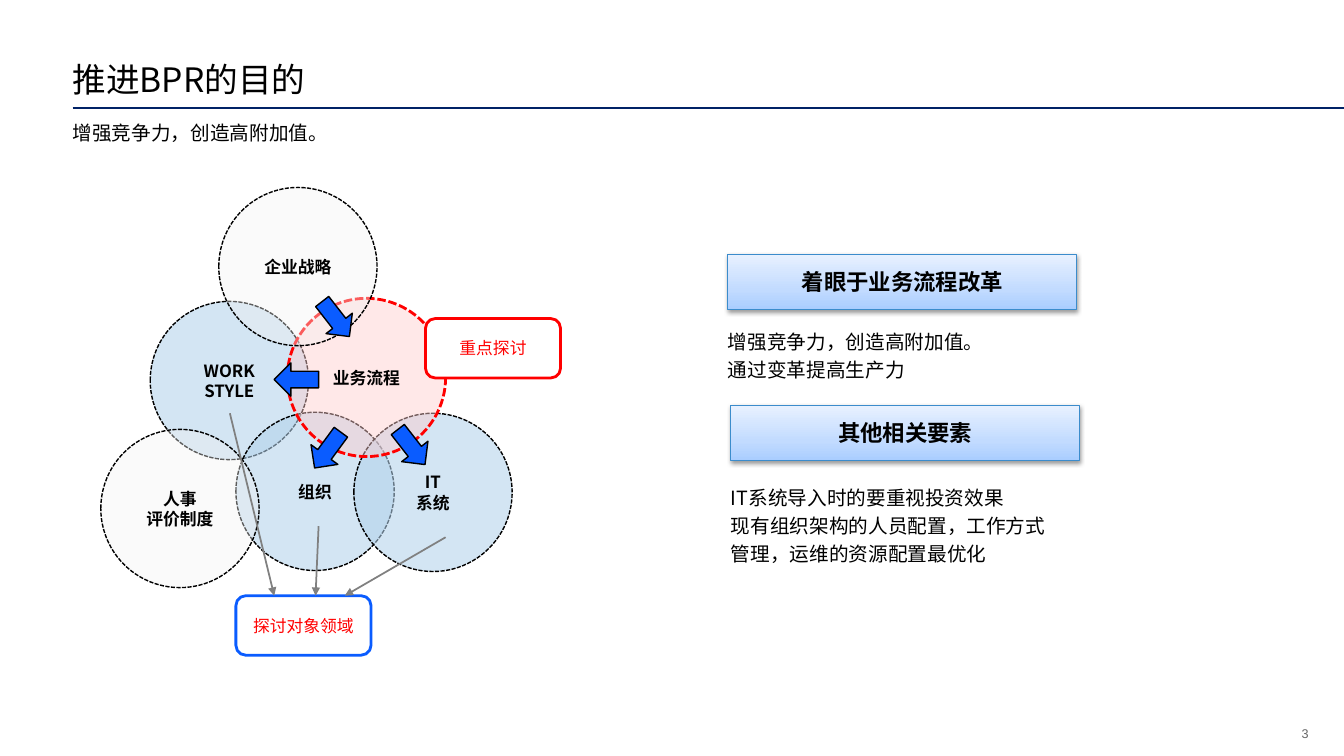
from dataclasses import dataclass

from lxml import etree
from pptx import Presentation
from pptx import util as u
from pptx.dml.color import RGBColor
from pptx.enum import dml, shapes, text
from pptx.oxml import parse_xml
from pptx.oxml.ns import nsdecls, qn

PX = 9144  # 100 px to the inch
SANS, BOLD = "Noto Sans CJK SC", "Noto Sans CJK JP"
HUE = {
    "black": "000000", "white": "FFFFFF", "navy": "002266", "gray": "808080",
    "dim": "666666", "red": "FF0000", "blue": "0A5CFF", "edge": "3B8CCC",
    "sky": "B3D2EB", "pink": "FFCCCC", "pale": "F2F2F2",
}
BLEND = [(0, "A9CDFF"), (35, "C2DBFF"), (100, "E8F1FF")]
SIDE = 157
ALIGN, ANCHOR = text.PP_ALIGN, text.MSO_ANCHOR
KIND = shapes.MSO_SHAPE


@dataclass
class Box:
    x: int
    y: int
    w: int
    h: int


@dataclass
class Disc:
    words: str
    x: int
    y: int
    hue: str = "sky"
    alpha: int = 57
    edge: str = "black"
    width: float = 1


@dataclass
class Arrow:
    x: int
    y: int
    turn: float


@dataclass
class Tag:
    words: str
    x: int
    y: int
    edge: str


@dataclass
class Link:
    x: int
    y: int
    to_x: int
    to_y: int


@dataclass
class Topic:
    head: str
    bar: Box
    lines: str
    area: Box


DISCS = [
    Disc("WORK\nSTYLE", 149, 299),
    Disc("组织", 234, 409),
    Disc("IT\n系统", 351, 410),
    Disc("业务流程", 285, 296, "pink", 45, "red", 2),
    Disc("人事\n评价制度", 100, 426, "pale", 38),
    Disc("企业战略", 217, 186, "pale", 38),
]
ARROWS = [Arrow(311, 300, 52.1), Arrow(272, 360, 180),
          Arrow(386, 427, 52.1), Arrow(303, 430, 126.3)]
TAGS = [Tag("重点探讨", 422, 316, "red"), Tag("探讨对象领域", 234, 591, "blue")]
LINKS = [Link(228, 410, 272, 591), Link(316, 522, 313, 591),
         Link(442, 533, 342, 591)]
TOPICS = [
    Topic("着眼于业务流程改革", Box(722, 252, 346, 55),
          "增强竞争力，创造高附加值。\n通过变革提高生产力", Box(704, 319, 404, 67)),
    Topic("其他相关要素", Box(725, 402, 346, 55),
          "IT系统导入时的要重视投资效果\n现有组织架构的人员配置，工作方式\n管理，运维的资源配置最优化",
          Box(707, 473, 404, 97)),
]


def rgb(hue: str) -> RGBColor:
    return RGBColor.from_string(HUE[hue])


def place(item, box: Box) -> None:
    item.left, item.top = box.x * PX, box.y * PX
    item.width, item.height = box.w * PX, box.h * PX


def write(frame, words: str, size=12, font=BOLD, hue="black", bold=False,
          align=ALIGN.CENTER, anchor=ANCHOR.MIDDLE, pad=(8, 4, 8, 4),
          wrap=False, indent=0, gap=0) -> None:
    frame.text = words
    frame.word_wrap = wrap
    frame.auto_size = text.MSO_AUTO_SIZE.NONE
    frame.vertical_anchor = anchor
    (frame.margin_left, frame.margin_top,
     frame.margin_right, frame.margin_bottom) = (n * PX for n in pad)
    for para in frame.paragraphs:
        para.alignment = align
        para.space_before = u.Pt(gap)
        para.line_spacing = 1.0
        props = para._p.get_or_add_pPr()
        props.set("marL", str(indent * PX))
        props.set("indent", "0")
        etree.SubElement(props, qn("a:buNone"))
        for run in para.runs:
            run.font.size, run.font.bold = u.Pt(size), bold
            run.font.name = font
            run.font.color.rgb = rgb(hue)
            east = etree.SubElement(run._r.rPr, qn("a:ea"))
            east.set("typeface", font)


def body(frame, words: str) -> None:
    write(frame, words, size=14, font=SANS, align=ALIGN.LEFT,
          pad=(8, 5, 8, 5), wrap=True, indent=10, gap=3)


def shape(slide, kind, box: Box, fill: str, edge: str, width: float):
    item = slide.shapes.add_shape(kind, 0, 0, 0, 0)
    place(item, box)
    item.shadow.inherit = False
    item.fill.solid()
    item.fill.fore_color.rgb = rgb(fill)
    item.line.color.rgb = rgb(edge)
    item.line.width = u.Pt(width)
    return item


def line(slide, link: Link, hue: str, width: float, tip=False) -> None:
    item = slide.shapes.add_connector(
        shapes.MSO_CONNECTOR.STRAIGHT,
        *(n * PX for n in (link.x, link.y, link.to_x, link.to_y)))
    item.line.color.rgb = rgb(hue)
    item.line.width = u.Pt(width)
    if tip:
        tail = etree.SubElement(item.line._get_or_add_ln(), qn("a:tailEnd"))
        tail.set("type", "triangle")
    etree.SubElement(item._element.spPr, qn("a:effectLst"))


def disc(slide, data: Disc) -> None:
    item = shape(slide, KIND.OVAL, Box(data.x, data.y, SIDE, SIDE),
                 data.hue, data.edge, data.width)
    item.line.dash_style = dml.MSO_LINE.SQUARE_DOT
    tint = item._element.spPr.find(f"{qn('a:solidFill')}/{qn('a:srgbClr')}")
    etree.SubElement(tint, qn("a:alpha")).set("val", str(data.alpha * 1000))
    write(item.text_frame, data.words, bold=True)


def banner(slide, box: Box, words: str) -> None:
    """Draw a heading bar with a gradient and a soft shadow."""
    item = shape(slide, KIND.RECTANGLE, box, "white", "edge", 0.75)
    props = item._element.spPr
    stops = "".join(f'<a:gs pos="{pos * 1000}"><a:srgbClr val="{tone}"/></a:gs>'
                    for pos, tone in BLEND)
    props.replace(props.find(qn("a:solidFill")), parse_xml(
        f'<a:gradFill {nsdecls("a")} rotWithShape="1"><a:gsLst>{stops}</a:gsLst>'
        '<a:lin ang="16200000" scaled="0"/></a:gradFill>'))
    props.find(qn("a:effectLst")).append(parse_xml(
        f'<a:outerShdw {nsdecls("a")} blurRad="{u.Pt(3.1)}" dist="{u.Pt(1.6)}" '
        f'dir="5400000" rotWithShape="0"><a:srgbClr val="{HUE["black"]}">'
        '<a:alpha val="38000"/></a:srgbClr></a:outerShdw>'))
    write(item.text_frame, words, size=16, font=SANS, bold=True)


def label(slide, box: Box):
    item = slide.shapes.add_textbox(0, 0, 0, 0)
    place(item, box)
    return item.text_frame


def main() -> None:
    deck = Presentation()
    deck.slide_width, deck.slide_height = 1333 * PX, 750 * PX
    slide = deck.slides.add_slide(deck.slide_layouts.get_by_name("Two Content"))
    title, *lists = slide.placeholders

    line(slide, Link(72, 107, 1333, 107), "navy", 1)
    place(title, Box(72, -12, 1189, 110))
    write(title.text_frame, "推进BPR的目的", size=24, font=SANS, wrap=True,
          align=ALIGN.LEFT, anchor=ANCHOR.BOTTOM, pad=(0, 5, 10, 0))
    body(label(slide, Box(54, 115, 1259, 34)), "增强竞争力，创造高附加值。")
    write(label(slide, Box(1224, 719, 74, 17)), "3", size=9, font="Arial",
          hue="dim", align=ALIGN.RIGHT, pad=(10, 5, 0, 5), wrap=True)

    for data in DISCS:
        disc(slide, data)
    for arrow in ARROWS:
        item = shape(slide, KIND.RIGHT_ARROW, Box(arrow.x, arrow.y, 44, 33),
                     "blue", "black", 1)
        item.rotation = arrow.turn
    for tag in TAGS:
        item = shape(slide, KIND.ROUNDED_RECTANGLE, Box(tag.x, tag.y, 134, 59),
                     "white", tag.edge, 2)
        write(item.text_frame, tag.words, hue="red")
    for link in LINKS:
        line(slide, link, "gray", 1.25, tip=True)
    for topic, holder in zip(TOPICS, lists):
        banner(slide, topic.bar, topic.head)
        place(holder, topic.area)
        body(holder.text_frame, topic.lines)
    deck.save("out.pptx")


if __name__ == "__main__":
    main()
